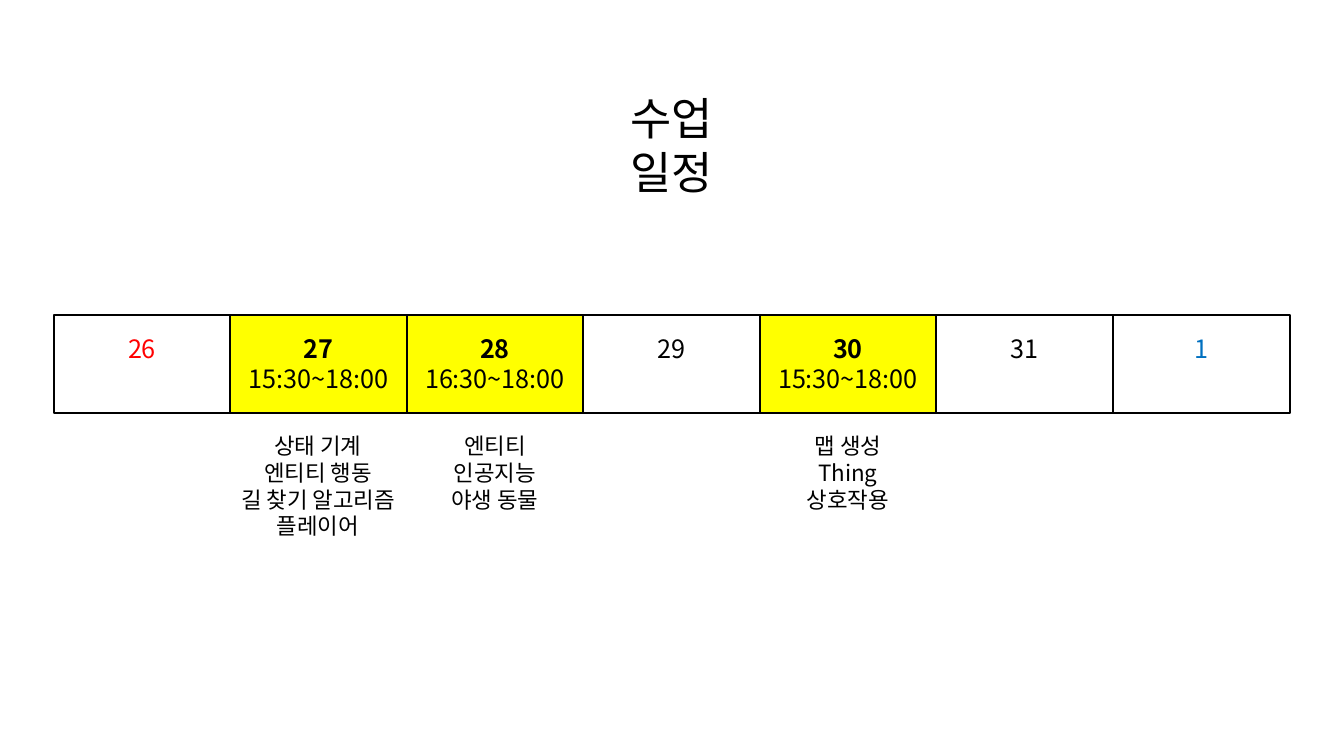
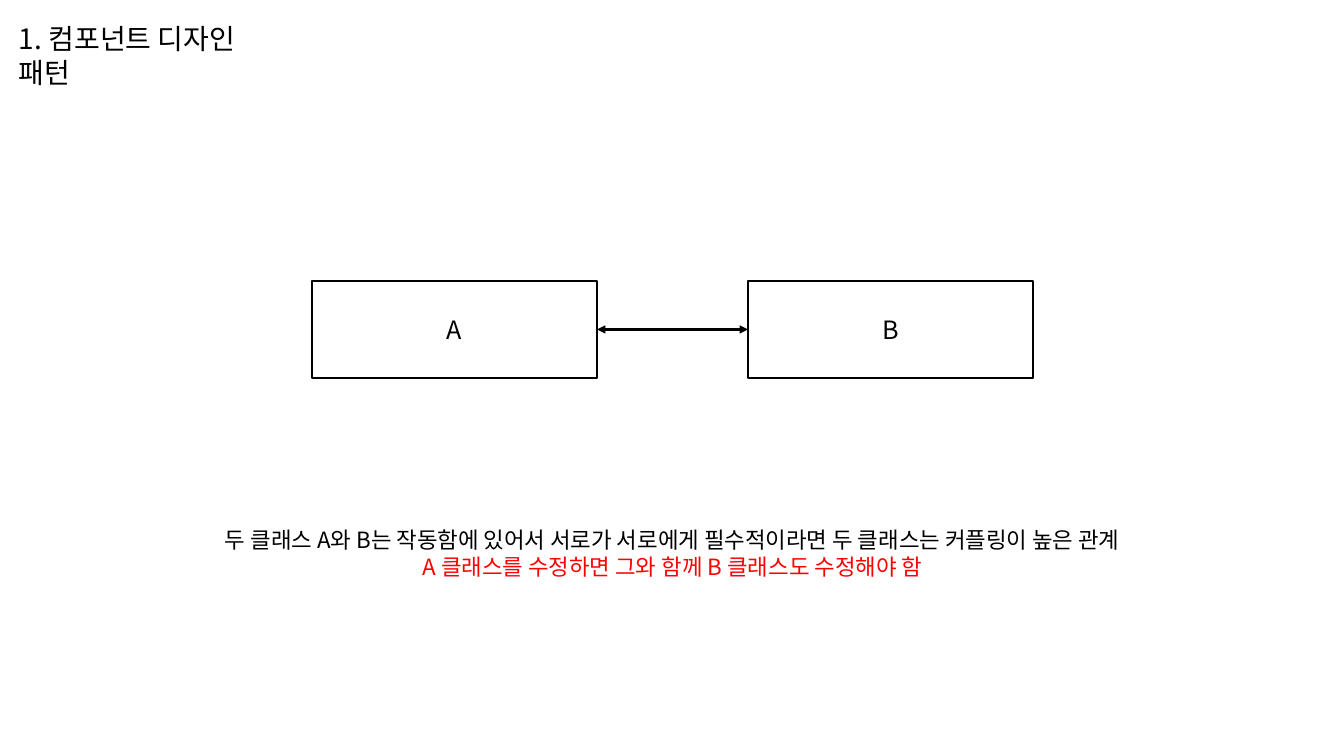
from dataclasses import dataclass

from lxml import etree
from pptx import Presentation
from pptx import util as u
from pptx.dml.color import RGBColor
from pptx.enum import shapes, text
from pptx.oxml import ns

SCALE = 914400 / 100.8  # EMU in one px
WIDE, HIGH = 1344, 756


@dataclass(frozen=True)
class Theme:
    font: str = "Noto Sans CJK KR"
    ink: str = "000000"
    paper: str = "FFFFFF"
    mark: str = "FFFF00"
    red: str = "FF0000"
    blue: str = "0070C0"
    title: int = 32
    head: int = 20
    label: int = 18
    body: int = 16
    line: float = 1.5


T = Theme()
CENTER, LEFT = text.PP_ALIGN.CENTER, text.PP_ALIGN.LEFT
TOP, MIDDLE = text.MSO_ANCHOR.TOP, text.MSO_ANCHOR.MIDDLE


def px(n):
    return u.Emu(round(n * SCALE))


def rgb(color):
    return RGBColor.from_string(color)


# Text: each line is (words, color, bold)
def line(words, color=T.ink, bold=False):
    return words, color, bold


def write(frame, lines, size, align=CENTER, anchor=TOP):
    frame.word_wrap = True
    frame.vertical_anchor = anchor
    for i, (words, color, bold) in enumerate(lines):
        para = frame.add_paragraph() if i else frame.paragraphs[0]
        para.alignment = align
        run = para.add_run()
        run.text = words
        font = run.font
        font.size, font.bold, font.name = u.Pt(size), bold, T.font
        font.color.rgb = rgb(color)
        east = etree.SubElement(font._element, ns.qn("a:ea"))
        east.set("typeface", T.font)


def label(slide, box, lines, size, align=CENTER):
    shape = slide.shapes.add_textbox(*map(px, box))
    write(shape.text_frame, lines, size, align)


# Outlined rectangle with text
def block(slide, box, lines, fill=T.paper, anchor=MIDDLE):
    shape = slide.shapes.add_shape(shapes.MSO_SHAPE.RECTANGLE, *map(px, box))
    shape.shadow.inherit = False
    shape.fill.solid()
    shape.fill.fore_color.rgb = rgb(fill)
    shape.line.color.rgb = rgb(T.ink)
    shape.line.width = u.Pt(T.line)
    write(shape.text_frame, lines, T.label, anchor=anchor)
    return shape


# Two-headed arrow from the right side of one block to the left of the next
def link(slide, start, end):
    arrow = slide.shapes.add_connector(shapes.MSO_CONNECTOR.STRAIGHT, 0, 0, 0, 0)
    arrow.begin_connect(start, 3)
    arrow.end_connect(end, 1)
    arrow.line.color.rgb = rgb(T.ink)
    arrow.line.width = u.Pt(T.line)
    stroke = arrow.line._get_or_add_ln()
    for tag in ("a:headEnd", "a:tailEnd"):
        etree.SubElement(stroke, ns.qn(tag)).set("type", "triangle")
    etree.SubElement(arrow._element.spPr, ns.qn("a:effectLst"))


# Slide 1: the week's classes
DAYS = [  # day, color, hours, note width, notes
    ("26", T.red, None, 0, []),
    ("27", T.ink, "15:30~18:00", 180,
     ["상태 기계", "엔티티 행동", "길 찾기 알고리즘", "플레이어"]),
    ("28", T.ink, "16:30~18:00", 150, ["엔티티 인공지능", "야생 동물"]),
    ("29", T.ink, None, 0, []),
    ("30", T.ink, "15:30~18:00", 150, ["맵 생성", "Thing 상호작용"]),
    ("31", T.ink, None, 0, []),
    ("1", T.blue, None, 0, []),
]


def plan(slide):
    label(slide, (592, 86, 160, 118), [line("수업 일정")], T.title)
    left, span, top, high = 54, 1236, 315, 98
    edges = [left + span * i // len(DAYS) for i in range(len(DAYS) + 1)]
    for (day, color, hours, wide, notes), x, end in zip(DAYS, edges, edges[1:]):
        lines = [line(day, color, bool(hours))]
        if hours:
            lines.append(line(hours))
        fill = T.mark if hours else T.paper
        cell = block(slide, (x, top, end - x, high), lines, fill, TOP)
        cell.text_frame.margin_top = px(18)
        if notes:
            box = ((x + end - wide) // 2, 427, wide, 119)
            label(slide, box, [line(note) for note in notes], T.body)


# Slide 2: two coupled classes
def couple(slide):
    label(slide, (9, 17, 290, 80), [line("1. 컴포넌트 디자인 패턴")], T.head, LEFT)
    first, second = [
        block(slide, (x, 281, 285, 97), [line(name)])
        for name, x in (("A", 312), ("B", 748))
    ]
    link(slide, first, second)
    label(slide, (212, 521, 921, 92), [
        line("두 클래스 A와 B는 작동함에 있어서 서로가 서로에게 필수적이라면 "
             "두 클래스는 커플링이 높은 관계"),
        line("A 클래스를 수정하면 그와 함께 B 클래스도 수정해야 함", T.red),
    ], T.body)


def main():
    deck = Presentation()
    deck.slide_width, deck.slide_height = px(WIDE), px(HIGH)
    for draw in (plan, couple):
        draw(deck.slides.add_slide(deck.slide_layouts[6]))
    deck.save("out.pptx")


if __name__ == "__main__":
    main()
